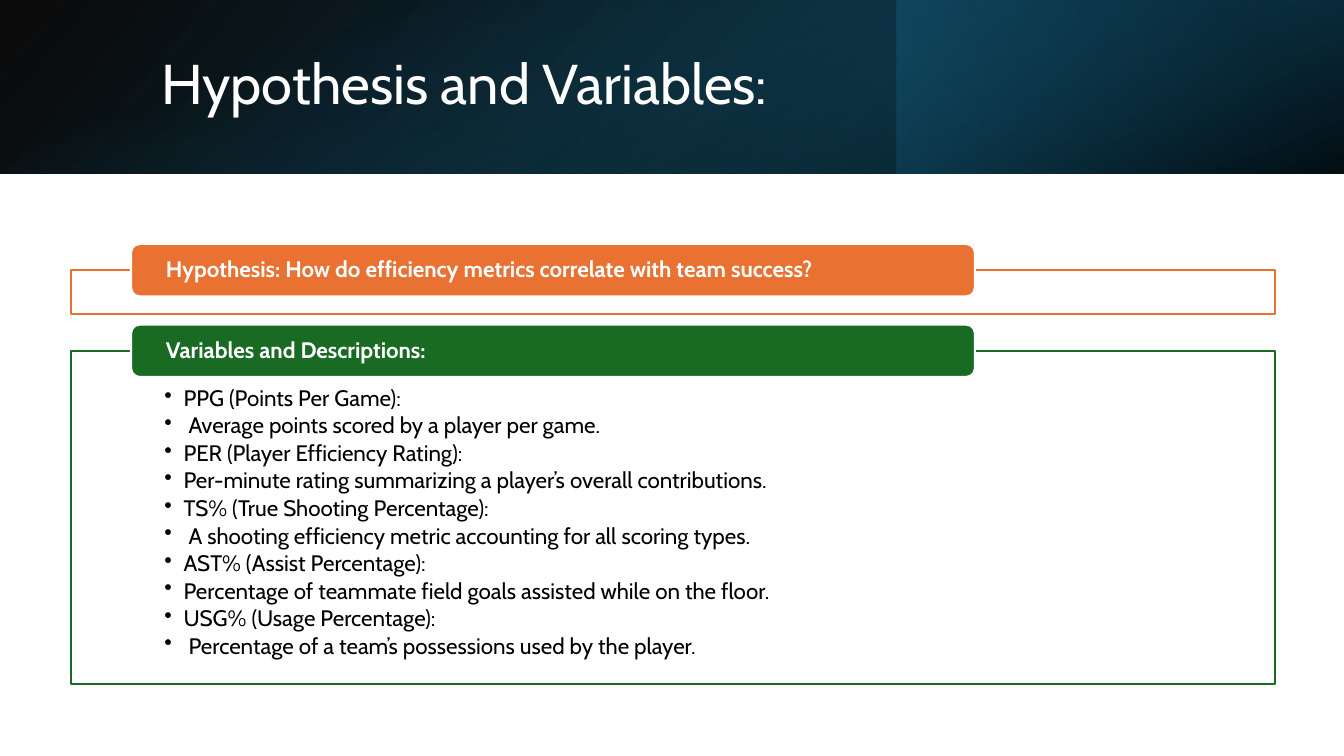
from lxml import etree
from pptx import Presentation, util as u
from pptx.dml.color import RGBColor
from pptx.enum import shapes, text
from pptx.oxml.ns import qn

COLORS = {
    "white": "FFFFFF", "black": "000000", "navy": "104862", "deep": "0B3041",
    "teal": "156082", "orange": "E97132", "green": "196B24",
}
FONT = "Cabin"


def paint(color_format, name, opacity=100):
    color_format.rgb = RGBColor.from_string(COLORS[name])
    if opacity < 100:
        rgb = color_format._xFill.find(qn("a:srgbClr")) if hasattr(color_format, "_xFill") else None
        if rgb is None:
            rgb = color_format._color._xClr
        etree.SubElement(rgb, qn("a:alpha")).set("val", str(opacity * 1000))


def write(paragraph, words, size, color, bold=False):
    paragraph.alignment = text.PP_ALIGN.LEFT
    paragraph.line_spacing = 0.9
    run = paragraph.add_run()
    run.text = words
    run.font.name, run.font.size, run.font.bold = FONT, u.Pt(size), bold
    paint(run.font.color, color)


deck = Presentation()
deck.slide_width, deck.slide_height = u.Inches(13.33), u.Inches(7.5)
slide = deck.slides.add_slide(deck.slide_layouts[6])

# Header band: three layered gradients (box, rotation, flip, clockwise angle, stops)
band_layers = [
    ((0, 0, 13.33, 1.72), 0, True, 140, [(0, "black", 96), (1, "navy", 100)]),
    ((8.89, 0, 4.44, 1.72), 180, False, 320, [(0.19, "deep", 68), (1, "teal", 79)]),
    ((5.8, -5.8, 1.72, 13.33), 90, False, 340, [(0.23, "teal", 0), (0.99, "black", 74)]),
]
for box, rotation, flipped, angle, stops in band_layers:
    layer = slide.shapes.add_shape(shapes.MSO_SHAPE.RECTANGLE, *map(u.Inches, box))
    layer.shadow.inherit = False
    layer.rotation = rotation
    if flipped:
        layer._element.spPr.find(qn("a:xfrm")).set("flipH", "1")
    layer.line.fill.background()
    layer.fill.gradient()
    layer.fill.gradient_angle = 360 - angle
    for stop, (position, color, opacity) in zip(layer.fill.gradient_stops, stops):
        stop.position = position
        paint(stop.color, color, opacity)

# Title
title = slide.shapes.add_textbox(*map(u.Inches, (1.5, 0.38, 10.98, 0.96))).text_frame
title.word_wrap = True
title.vertical_anchor = text.MSO_ANCHOR.MIDDLE
write(title.paragraphs[0], "Hypothesis and Variables:", 40, "white")

# Sections: outlined frame with a heading tab over its top edge
variables = [
    "PPG (Points Per Game):",
    " Average points scored by a player per game.",
    "PER (Player Efficiency Rating):",
    "Per-minute rating summarizing a player’s overall contributions.",
    "TS% (True Shooting Percentage):",
    " A shooting efficiency metric accounting for all scoring types.",
    "AST% (Assist Percentage):",
    "Percentage of teammate field goals assisted while on the floor.",
    "USG% (Usage Percentage):",
    " Percentage of a team’s possessions used by the player.",
]
sections = [
    ("Hypothesis: How do efficiency metrics correlate with team success?",
     "orange", 2.68, 0.44, []),
    ("Variables and Descriptions:", "green", 3.48, 3.31, variables),
]
for heading, color, top, height, bullets in sections:
    frame = slide.shapes.add_shape(
        shapes.MSO_SHAPE.RECTANGLE, *map(u.Inches, (0.7, top, 11.95, height)))
    tab = slide.shapes.add_shape(
        shapes.MSO_SHAPE.ROUNDED_RECTANGLE, *map(u.Inches, (1.3, top - 0.26, 8.37, 0.52)))
    for part, fill, opacity, line in ((frame, "white", 90, color), (tab, color, 100, "white")):
        part.shadow.inherit = False
        part.fill.solid()
        paint(part.fill.fore_color, fill, opacity)
        paint(part.line.color, line)
        part.line.width = u.Pt(1.5)

    label = tab.text_frame
    label.word_wrap = True
    label.vertical_anchor = text.MSO_ANCHOR.MIDDLE
    label.margin_left = label.margin_right = u.Inches(0.32)
    label.margin_top = label.margin_bottom = 0
    write(label.paragraphs[0], heading, 16, "white", bold=True)

    body = frame.text_frame
    body.word_wrap = True
    body.vertical_anchor = text.MSO_ANCHOR.TOP
    body.margin_left = body.margin_right = u.Inches(0.93)
    body.margin_top, body.margin_bottom = u.Inches(0.36), u.Inches(0.12)
    for index, words in enumerate(bullets):
        item = body.add_paragraph() if index else body.paragraphs[0]
        item.level = 1
        props = item._p.get_or_add_pPr()
        props.set("marL", str(u.Inches(0.19)))
        props.set("indent", str(-u.Inches(0.19)))
        etree.SubElement(props, qn("a:buChar")).set("char", "•")
        item.space_after = u.Pt(2.4)
        write(item, words, 16, "black")

deck.save("out.pptx")
